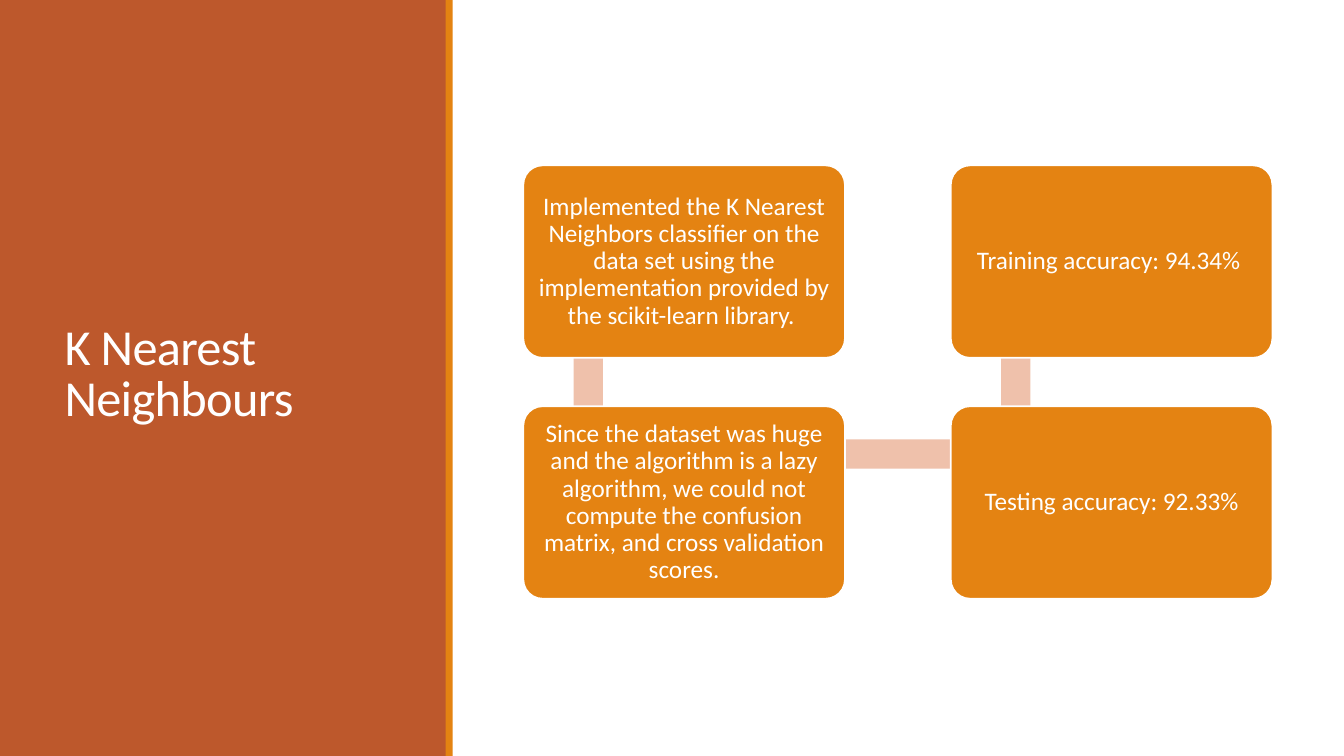
from pptx import Presentation
from pptx.dml.color import RGBColor
from pptx.enum import shapes, text
from pptx.util import Inches, Pt

RUST = RGBColor(0xBD, 0x58, 0x2C)
ORANGE = RGBColor(0xE4, 0x83, 0x12)
PEACH = RGBColor(0xEF, 0xC1, 0xAB)
WHITE = RGBColor(0xFF, 0xFF, 0xFF)

STEPS = [
    (0, 0, "Implemented the K Nearest Neighbors classifier on the data set using "
           "the implementation provided by the scikit-learn library. "),
    (0, 1, "Since the dataset was huge and the algorithm is a lazy algorithm, we could "
           "not compute the confusion matrix, and cross validation scores."),
    (1, 1, "Testing accuracy: 92.33%"),
    (1, 0, "Training accuracy: 94.34% "),
]


def set_all(target, values):
    for name, value in values.items():
        setattr(target, name, value)


def add_block(slide, kind, box, color):
    shape = slide.shapes.add_shape(kind, *map(Inches, box))
    shape.shadow.inherit = False
    shape.fill.solid()
    shape.fill.fore_color.rgb = color
    shape.line.fill.background()
    return shape


def write(shape, words, size, inset, align, spacing):
    frame = shape.text_frame
    set_all(frame, {
        "word_wrap": True,
        "auto_size": text.MSO_AUTO_SIZE.NONE,
        "vertical_anchor": text.MSO_ANCHOR.MIDDLE,
    })
    set_all(frame, {f"margin_{side}": Inches(inset)
                    for side in ("left", "top", "right", "bottom")})
    paragraph = frame.paragraphs[0]
    set_all(paragraph, {"alignment": align, "line_spacing": spacing})
    run = paragraph.add_run()
    run.text = words
    set_all(run.font, {"name": "Calibri", "size": Pt(size)})
    run.font.color.rgb = WHITE
    return run


def add_title_panel(slide, left, top, width, height):
    rectangle = shapes.MSO_SHAPE.RECTANGLE
    add_block(slide, rectangle, (left, top, width, height), RUST)
    add_block(slide, rectangle, (left + width - 0.01, top, 0.07, height), ORANGE)
    title = slide.shapes.title
    set_all(title, {
        "left": Inches(left + 0.54),
        "top": Inches(top + 0.57),
        "width": Inches(width - 1.06),
        "height": Inches(height - 1.19),
    })
    run = write(title, "K Nearest Neighbours", 36, 0.1, text.PP_ALIGN.LEFT, 0.85)
    run._r.get_or_add_rPr().set("spc", "-50")
    slide.shapes._spTree.append(title._element)


def add_step_flow(slide, left, top, width, height):
    box_width, box_height, bar = 3.19, 1.91, 0.29
    column_step = width - box_width
    row_step = height - box_height
    rectangle = shapes.MSO_SHAPE.RECTANGLE
    for column in range(2):
        bar_left = left + column * column_step + 0.5
        add_block(slide, rectangle, (bar_left, top + 0.48, bar, row_step), PEACH)
    add_block(slide, rectangle,
              (left + 0.65, top + row_step + 0.33, column_step, bar), PEACH)
    for column, row, words in STEPS:
        box = (left + column * column_step, top + row * row_step, box_width, box_height)
        step = add_block(slide, shapes.MSO_SHAPE.ROUNDED_RECTANGLE, box, ORANGE)
        step.adjustments[0] = 0.1
        step.line.color.rgb = WHITE
        step.line.width = Pt(1.25)
        write(step, words, 18, 0.07, text.PP_ALIGN.CENTER, 0.9)


def main():
    presentation = Presentation()
    presentation.slide_width = Inches(13.33)
    presentation.slide_height = Inches(7.5)
    slide = presentation.slides.add_slide(presentation.slide_layouts[5])
    add_title_panel(slide, 0, 0, 4.43, 7.5)
    add_step_flow(slide, 5.19, 1.64, 7.43, 4.3)
    presentation.save("out.pptx")


if __name__ == "__main__":
    main()
